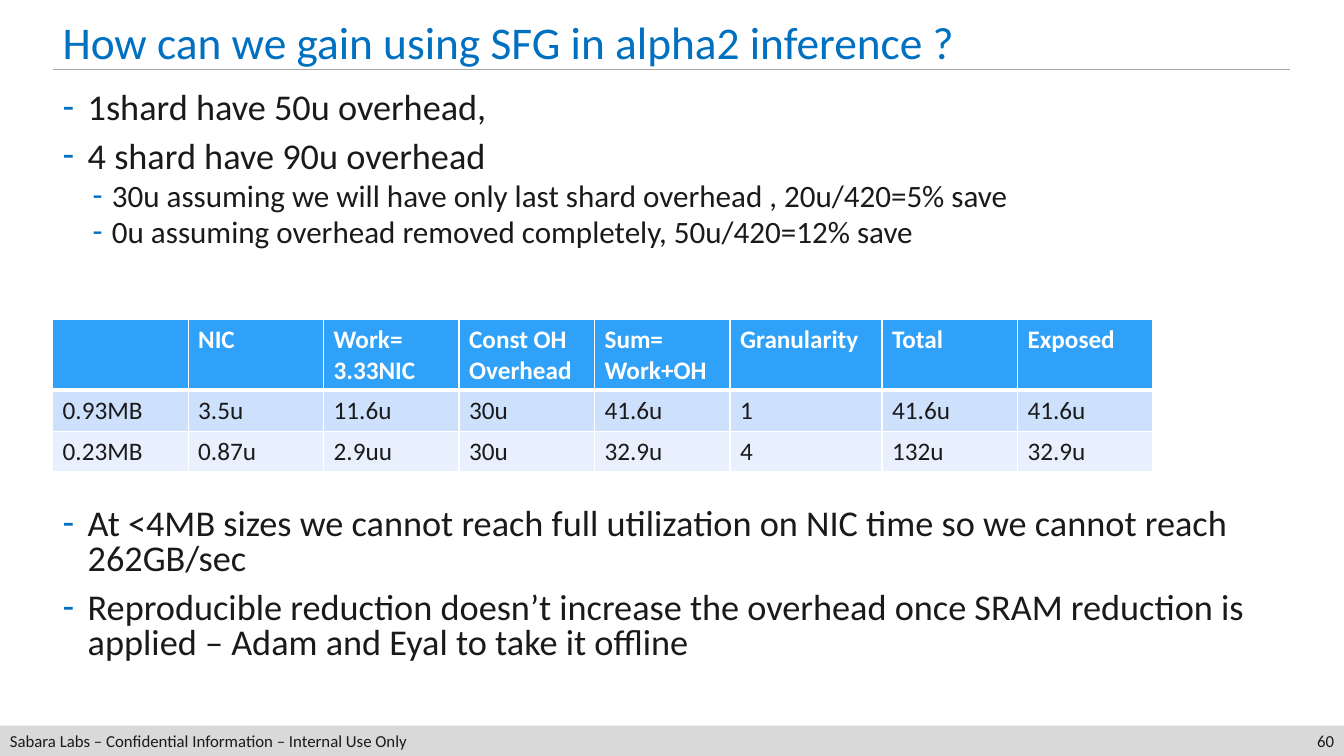
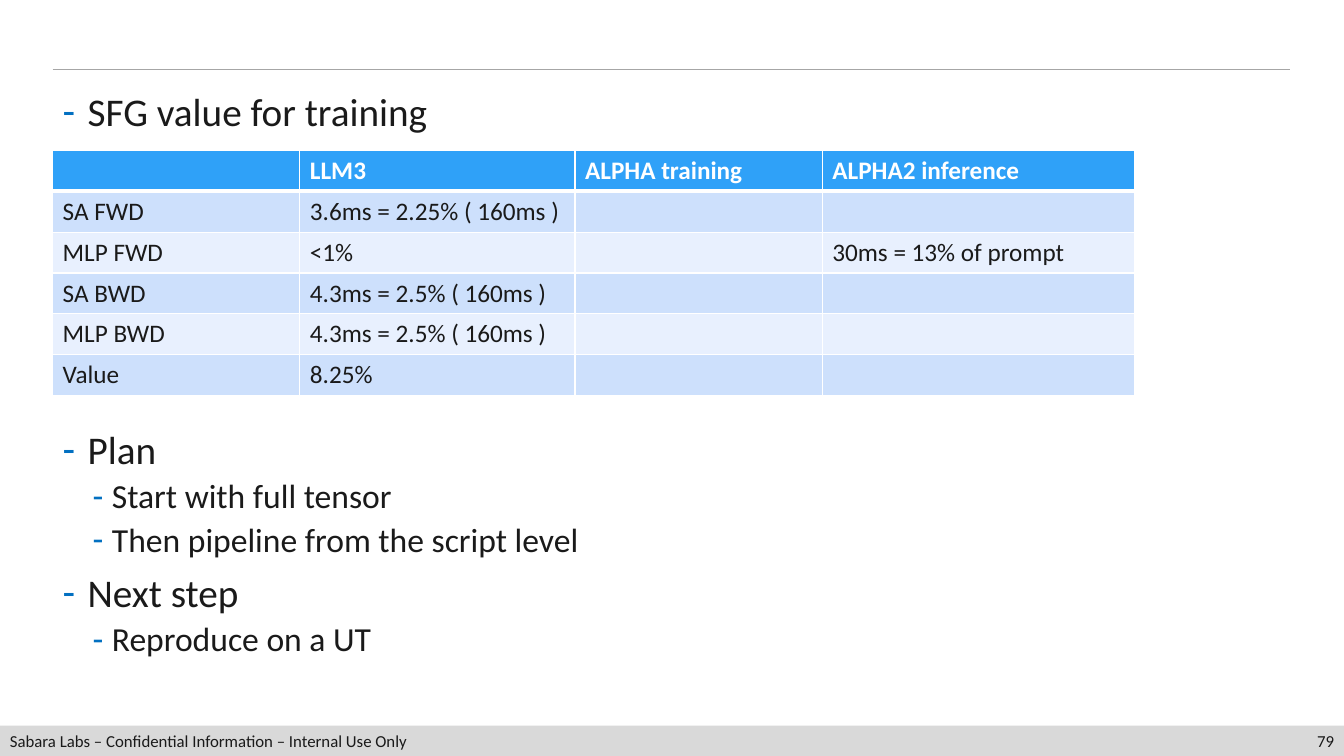
from lxml import etree
from pptx import Presentation
from pptx.dml.color import RGBColor
from pptx.enum import shapes, text
from pptx.oxml import ns
from pptx.util import Pt

FONT = "Calibri"
INK = RGBColor(0x1A, 0x1A, 0x1A)
WHITE = RGBColor(0xFF, 0xFF, 0xFF)
TITLE_BLUE = RGBColor(0x00, 0x70, 0xC0)
BULLET_BLUE = RGBColor(0x02, 0x70, 0xC1)
HEADER_BLUE = RGBColor(0x2F, 0xA1, 0xF8)
BANDS = (RGBColor(0xCD, 0xE0, 0xFC), RGBColor(0xE8, 0xF0, 0xFE))
RULE_GREY = RGBColor(0xA6, 0xA6, 0xA6)
FOOTER_GREY = RGBColor(0xD9, 0xD9, 0xD9)

WIDTH, HEIGHT = 960, 540
LEFT, CONTENT_WIDTH = 37.6, 884
RULE_Y = 49.8
BODY_TOP = 62.6
FOOTER_HEIGHT = 21.6
ROW_HEIGHT = 29.2
FOOTER = "Sabara Labs – Confidential Information – Internal Use Only"
# Left margin, first-line indent and space before, by bullet level
LEVELS = ((18, -18, 10), (35.3, -13.7, 5))


def style_runs(para, size, color=INK, bold=False):
    for span in para.runs:
        span.font.name = FONT
        span.font.size = Pt(size)
        span.font.color.rgb = color
        span.font.bold = bold


def add_child(parent, tag, **attributes):
    return etree.SubElement(parent, ns.qn(tag), attributes)


def add_text(slide, left, top, width, height, content, size, color=INK):
    box = slide.shapes.add_textbox(Pt(left), Pt(top), Pt(width), Pt(height))
    box.text_frame.word_wrap = True
    para = box.text_frame.paragraphs[0]
    para.text = content
    style_runs(para, size, color)
    return box


def add_rule(slide):
    rule = slide.shapes.add_connector(
        shapes.MSO_CONNECTOR.STRAIGHT,
        Pt(LEFT), Pt(RULE_Y), Pt(LEFT + CONTENT_WIDTH), Pt(RULE_Y))
    rule.line.color.rgb = RULE_GREY
    rule.line.width = Pt(1)
    add_child(rule._element.spPr, "a:effectLst")


def add_footer(slide, number):
    top = HEIGHT - FOOTER_HEIGHT
    band = slide.shapes.add_shape(
        shapes.MSO_SHAPE.RECTANGLE, 0, Pt(top), Pt(WIDTH), Pt(FOOTER_HEIGHT))
    band.shadow.inherit = False
    band.fill.solid()
    band.fill.fore_color.rgb = FOOTER_GREY
    band.line.fill.background()
    band.text_frame.text = FOOTER
    band.text_frame.vertical_anchor = text.MSO_ANCHOR.MIDDLE
    para = band.text_frame.paragraphs[0]
    para.alignment = text.PP_ALIGN.LEFT
    style_runs(para, 12)

    box = add_text(slide, WIDTH - 66, top, 66, FOOTER_HEIGHT, str(number), 12)
    box.text_frame.vertical_anchor = text.MSO_ANCHOR.MIDDLE
    box.text_frame.paragraphs[0].alignment = text.PP_ALIGN.RIGHT


def add_page(deck, number, title=None):
    """Add a slide with the shared footer, rule and optional title."""
    slide = deck.slides.add_slide(deck.slide_layouts[6])
    add_footer(slide, number)
    add_rule(slide)
    if title:
        box = add_text(slide, LEFT, 10.8, CONTENT_WIDTH, 39, title, 32.4, TITLE_BLUE)
        box.text_frame.paragraphs[0].line_spacing = 0.9
    return slide


def add_bullets(slide, top, height, items, sizes, line_spacing):
    """Add a list of (level, text) items; sizes holds one font size per level."""
    box = add_text(slide, LEFT, top, CONTENT_WIDTH, height, "", sizes[0])
    frame = box.text_frame
    frame.text = "\n".join(content for _, content in items)
    for para, (level, _) in zip(frame.paragraphs, items):
        margin, indent, before = LEVELS[level]
        para.level = level
        para.line_spacing = line_spacing
        para.space_before = Pt(before)
        style_runs(para, sizes[level])
        props = para._p.get_or_add_pPr()
        props.set("marL", str(Pt(margin)))
        props.set("indent", str(Pt(indent)))
        add_child(add_child(props, "a:buClr"), "a:srgbClr", val=str(BULLET_BLUE))
        add_child(props, "a:buFont", typeface=FONT)
        add_child(props, "a:buChar", char="‐")


def set_borders(cell, top=1, bottom=1):
    props = cell._tc.get_or_add_tcPr()
    widths = (("L", 1), ("R", 1), ("T", top), ("B", bottom))
    for place, (side, width) in enumerate(widths):
        line = add_child(props, "a:ln" + side, w=str(Pt(width)))
        add_child(add_child(line, "a:solidFill"), "a:srgbClr", val=str(WHITE))
        props.insert(place, line)


def add_grid(slide, top, widths, rows, header_height=ROW_HEIGHT):
    """Add a banded table whose first row is the header."""
    height = header_height + ROW_HEIGHT * (len(rows) - 1)
    table = slide.shapes.add_table(
        len(rows), len(widths), Pt(LEFT), Pt(top), Pt(sum(widths)), Pt(height)).table
    for column, width in zip(table.columns, widths):
        column.width = Pt(width)
    for r, row in enumerate(rows):
        header = r == 0
        table.rows[r].height = Pt(header_height if header else ROW_HEIGHT)
        for c, content in enumerate(row):
            cell = table.cell(r, c)
            cell.text_frame.text = content
            for para in cell.text_frame.paragraphs:
                style_runs(para, 18, WHITE if header else INK, header)
            cell.fill.solid()
            cell.fill.fore_color.rgb = HEADER_BLUE if header else BANDS[(r - 1) % 2]
            set_borders(cell, top=3 if r == 1 else 1, bottom=3 if header else 1)


def build_inference(deck):
    slide = add_page(deck, 60, "How can we gain using SFG in alpha2 inference ?")
    style = {"sizes": (25.9, 22.2), "line_spacing": 0.8}
    add_bullets(slide, BODY_TOP, 125, [
        (0, "1shard have 50u overhead,"),
        (0, "4 shard have 90u overhead"),
        (1, "30u assuming we will have only last shard overhead , 20u/420=5% save"),
        (1, "0u assuming overhead removed completely, 50u/420=12% save"),
    ], **style)
    add_bullets(slide, 360, 125, [
        (0, "At <4MB sizes we cannot reach full utilization on NIC time "
            "so we cannot reach 262GB/sec"),
        (0, "Reproducible reduction doesn’t increase the overhead once SRAM "
            "reduction is applied – Adam and Eyal to take it offline"),
    ], **style)
    add_grid(slide, 228.4, [96.8] * 5 + [108.6] + [96.8] * 2, [
        ("", "NIC", "Work=\n3.33NIC", "Const OH\nOverhead", "Sum=\nWork+OH",
         "Granularity", "Total", "Exposed"),
        ("0.93MB", "3.5u", "11.6u", "30u", "41.6u", "1", "41.6u", "41.6u"),
        ("0.23MB", "0.87u", "2.9uu", "30u", "32.9u", "4", "132u", "32.9u"),
    ], header_height=50.4)


def build_training(deck):
    slide = add_page(deck, 79)
    style = {"sizes": (28, 24), "line_spacing": 0.9}
    add_bullets(slide, BODY_TOP, 40, [(0, "SFG value for training")], **style)
    add_bullets(slide, 304, 180, [
        (0, "Plan"),
        (1, "Start with full tensor"),
        (1, "Then pipeline from the script level"),
        (0, "Next step"),
        (1, "Reproduce on a UT"),
    ], **style)
    add_grid(slide, 107.4, [176.6, 196.6, 176.6, 223.4], [
        ("", "LLM3", "ALPHA training", "ALPHA2 inference"),
        ("SA FWD", "3.6ms = 2.25% ( 160ms )", "", ""),
        ("MLP FWD", "<1%", "", "30ms = 13% of prompt"),
        ("SA BWD", "4.3ms = 2.5% ( 160ms )", "", ""),
        ("MLP BWD", "4.3ms = 2.5% ( 160ms )", "", ""),
        ("Value", "8.25%", "", ""),
    ])


def main():
    deck = Presentation()
    deck.slide_width, deck.slide_height = Pt(WIDTH), Pt(HEIGHT)
    build_inference(deck)
    build_training(deck)
    deck.save("out.pptx")


if __name__ == "__main__":
    main()
